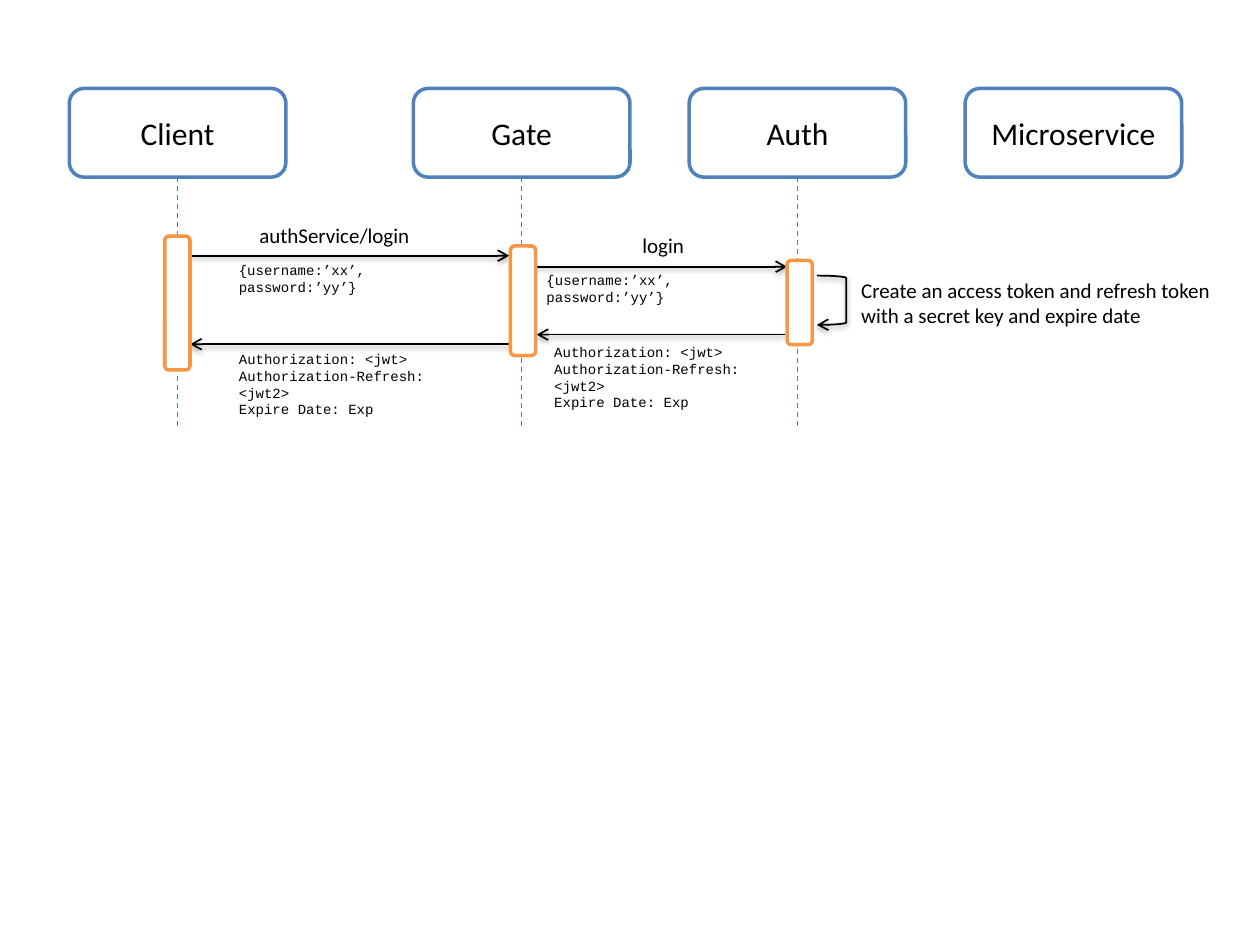
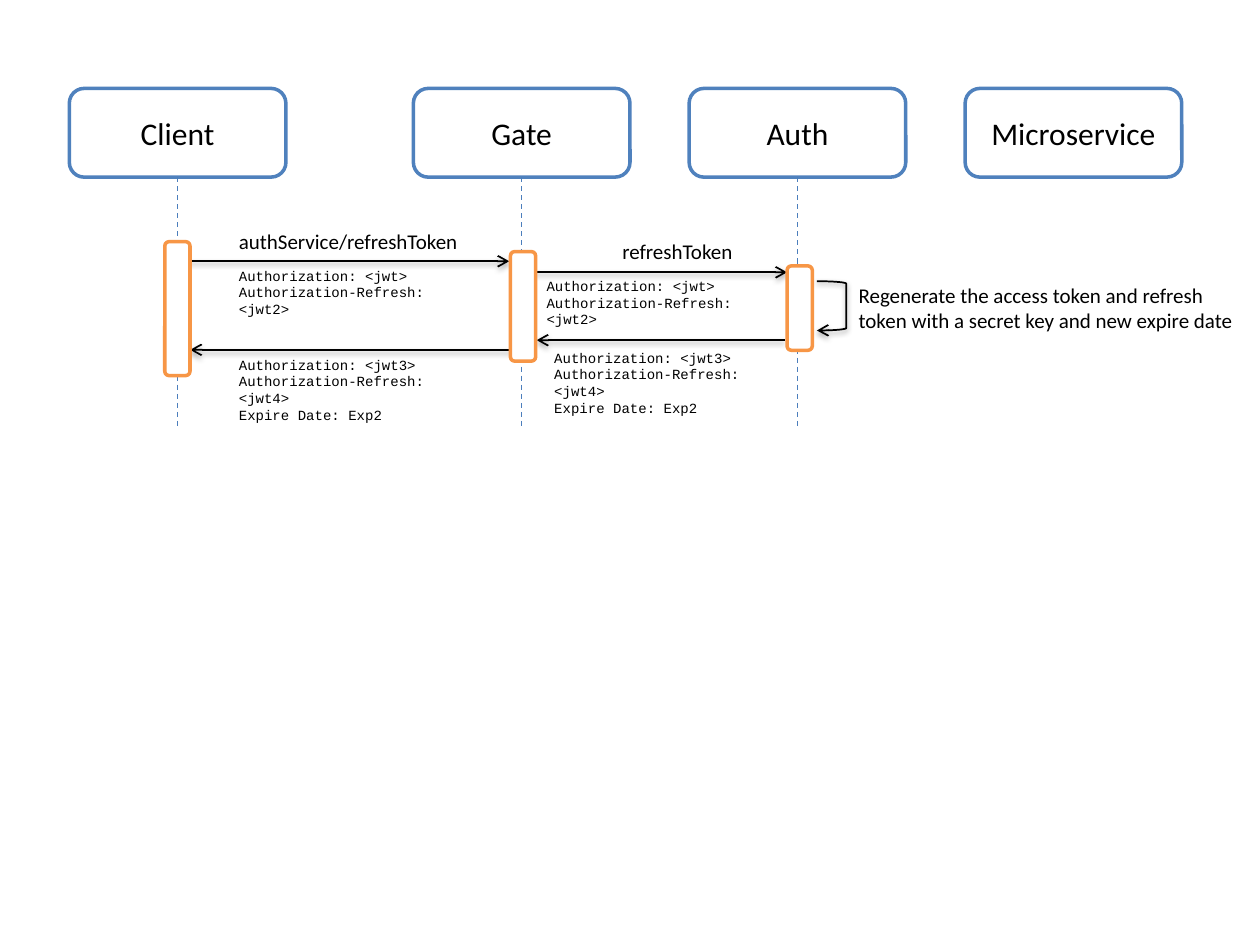
"""Sequence diagrams for logging in and for refreshing a token."""
from lxml import etree
from pptx import Presentation
from pptx import util as u
from pptx.dml.color import RGBColor
from pptx.enum import dml, shapes, text
from pptx.oxml.ns import qn

COLORS = {
    "paper": "FFFFFF",
    "ink": "000000",
    "participant": "4F81BD",
    "lifeline": "4B7EBC",
    "activation": "F79646",
}
BODY_FONT, CODE_FONT = "Calibri", "Courier New"

# Participants: name and left edge
PARTICIPANTS = [("Gate", 236.2), ("Auth", 393.8), ("Microservice", 551.5), ("Client", 39.6)]
BOX_TOP, BOX_WIDTH, BOX_HEIGHT = 50.5, 123.8, 50.7
LIFELINE_END = 243.4

# Activation bars: left, top, height
ACTIVATIONS = [(94.2, 134.9, 76.5), (449.8, 148.8, 48.2), (291.7, 140.6, 62.6)]
BAR_WIDTH = 14.4

# Messages: left, right, height on the slide, end that carries the arrowhead
MESSAGES = [
    (105, 291, 146.1, "tailEnd"),
    (305.5, 449.8, 152.4, "tailEnd"),
    (306.7, 448.4, 191.2, "headEnd"),
    (108.7, 293, 196.7, "headEnd"),
]

LOGIN = {
    "shift": 0,
    "labels": [("authService/login", 141.1, 101), ("login", 360, 39)],
    "request": ["{username:’xx’, password:’yy’}"],
    "request_size": (147, 17),
    "reply": ["Authorization: <jwt>", "Authorization-Refresh: <jwt2>", "Expire Date: Exp"],
    "note": ["Create an access token and refresh token with a secret key and expire date"],
    "note_box": (485, 218.2),
    "note_wraps": True,
}
REFRESH = {
    "shift": 3.2,
    "labels": [("authService/refreshToken", 129.4, 140.4), ("refreshToken", 348.5, 78.5)],
    "request": ["Authorization: <jwt>", "Authorization-Refresh: <jwt2>"],
    "request_size": (142.6, 26.6),
    "reply": ["Authorization: <jwt3>", "Authorization-Refresh: <jwt4>", "Expire Date: Exp2"],
    "note": ["Regenerate the access token and refresh",
             "token with a secret key and new expire date"],
    "note_box": (483.6, 230.4),
    "note_wraps": False,
}


def color(name):
    """Return the named palette colour."""
    return RGBColor.from_string(COLORS[name])


def style_line(shape, color_name, width):
    """Give an outline or connector its colour and width."""
    shape.line.color.rgb = color(color_name)
    shape.line.width = u.Pt(width)


def format_runs(text_frame, font, size):
    """Apply one font, size and the ink colour to all runs."""
    for paragraph in text_frame.paragraphs:
        for run in paragraph.runs:
            run.font.name = font
            run.font.size = u.Pt(size)
            run.font.color.rgb = color("ink")


def add_effects(shape, shadow):
    """Add an effect list, with a soft shadow below if wanted."""
    properties = shape.element.spPr
    effects = etree.SubElement(properties, qn("a:effectLst"))
    if shadow:
        outer = etree.SubElement(effects, qn("a:outerShdw"), blurRad=str(u.Pt(3.1)),
                                 dist=str(u.Pt(1.6)), dir="5400000", rotWithShape="0")
        black = etree.SubElement(outer, qn("a:srgbClr"), val=COLORS["ink"])
        etree.SubElement(black, qn("a:alpha"), val="38000")


def add_arrowhead(shape, end):
    """Put an open arrowhead at headEnd or tailEnd."""
    line = shape.element.spPr.find(qn("a:ln"))
    etree.SubElement(line, qn("a:" + end), type="arrow")


def add_box(slide, left, top, width, height, outline, label=""):
    """Add a white rounded box with a coloured outline."""
    box = slide.shapes.add_shape(shapes.MSO_SHAPE.ROUNDED_RECTANGLE, u.Pt(left), u.Pt(top),
                                 u.Pt(width), u.Pt(height))
    box.shadow.inherit = False
    box.fill.solid()
    box.fill.fore_color.rgb = color("paper")
    style_line(box, outline, 2)
    if label:
        frame = box.text_frame
        frame.text = label
        frame.vertical_anchor = text.MSO_ANCHOR.MIDDLE
        frame.paragraphs[0].alignment = text.PP_ALIGN.CENTER
        format_runs(frame, BODY_FONT, 18)


def add_line(slide, start, end, color_name, width):
    """Add a straight connector between two points."""
    line = slide.shapes.add_connector(shapes.MSO_CONNECTOR.STRAIGHT,
                                      *(u.Pt(value) for value in start + end))
    style_line(line, color_name, width)
    return line


def add_lifeline(slide, center):
    """Add the dashed line below a participant."""
    line = add_line(slide, (center, BOX_TOP + BOX_HEIGHT), (center, LIFELINE_END),
                    "lifeline", 0.75)
    line.line.dash_style = dml.MSO_LINE.DASH
    add_effects(line, shadow=False)


def add_message(slide, left, right, y, end):
    """Add a message arrow."""
    line = add_line(slide, (left, y), (right, y), "ink", 1)
    add_arrowhead(line, end)
    add_effects(line, shadow=True)


def add_self_call(slide, top):
    """Add the bracket arrow that returns to the same participant."""
    bracket = slide.shapes.add_shape(shapes.MSO_SHAPE.RIGHT_BRACKET, u.Pt(466.8), u.Pt(top),
                                     u.Pt(16.8), u.Pt(28.2))
    bracket.fill.background()
    style_line(bracket, "ink", 1)
    bracket.element.spPr.find(qn("a:xfrm")).set("flipV", "1")
    add_arrowhead(bracket, "headEnd")
    add_effects(bracket, shadow=True)


def add_text(slide, lines, left, top, width, height, font=BODY_FONT, size=12, wrap=False):
    """Add a text box with one paragraph for each line."""
    box = slide.shapes.add_textbox(u.Pt(left), u.Pt(top), u.Pt(width), u.Pt(height))
    frame = box.text_frame
    frame.word_wrap = wrap
    frame.auto_size = text.MSO_AUTO_SIZE.SHAPE_TO_FIT_TEXT
    frame.text = "\n".join(lines)
    format_runs(frame, font, size)


def add_code(slide, lines, left, top, width, height):
    """Add a small payload listing."""
    add_text(slide, lines, left, top, width, height, CODE_FONT, 8, wrap=True)


def add_sequence(presentation, flow):
    """Add a slide with one complete sequence diagram."""
    slide = presentation.slides.add_slide(presentation.slide_layouts[6])
    shift = flow["shift"]
    for name, left in PARTICIPANTS:
        add_box(slide, left, BOX_TOP, BOX_WIDTH, BOX_HEIGHT, "participant", name)
    for name, left in PARTICIPANTS:
        if name != "Microservice":
            add_lifeline(slide, left + BOX_WIDTH / 2)
    for left, right, y, end in MESSAGES:
        add_message(slide, left, right, y + shift, end)
    for left, top, height in ACTIVATIONS:
        add_box(slide, left, top + shift, BAR_WIDTH, height, "activation")
    add_self_call(slide, 157.5 + shift)

    for (label, left, width), top in zip(flow["labels"], (123.8, 129.5)):
        add_text(slide, [label], left, top + shift, width, 21.8)
    for left, top in ((129.4, 145.9), (305.2, 151.7)):
        add_code(slide, flow["request"], left, top + shift, *flow["request_size"])
    for left, top in ((309.6, 192.8), (129.4, 196.8)):
        add_code(slide, flow["reply"], left, top + shift, 142.6, 36.3)
    left, width = flow["note_box"]
    add_text(slide, flow["note"], left, 154.8 + shift, width, 36.3, wrap=flow["note_wraps"])


def main():
    """Build and save both diagrams."""
    presentation = Presentation()
    presentation.slide_width = u.Pt(720)
    presentation.slide_height = u.Pt(540)
    for flow in (LOGIN, REFRESH):
        add_sequence(presentation, flow)
    presentation.save("out.pptx")


main()
